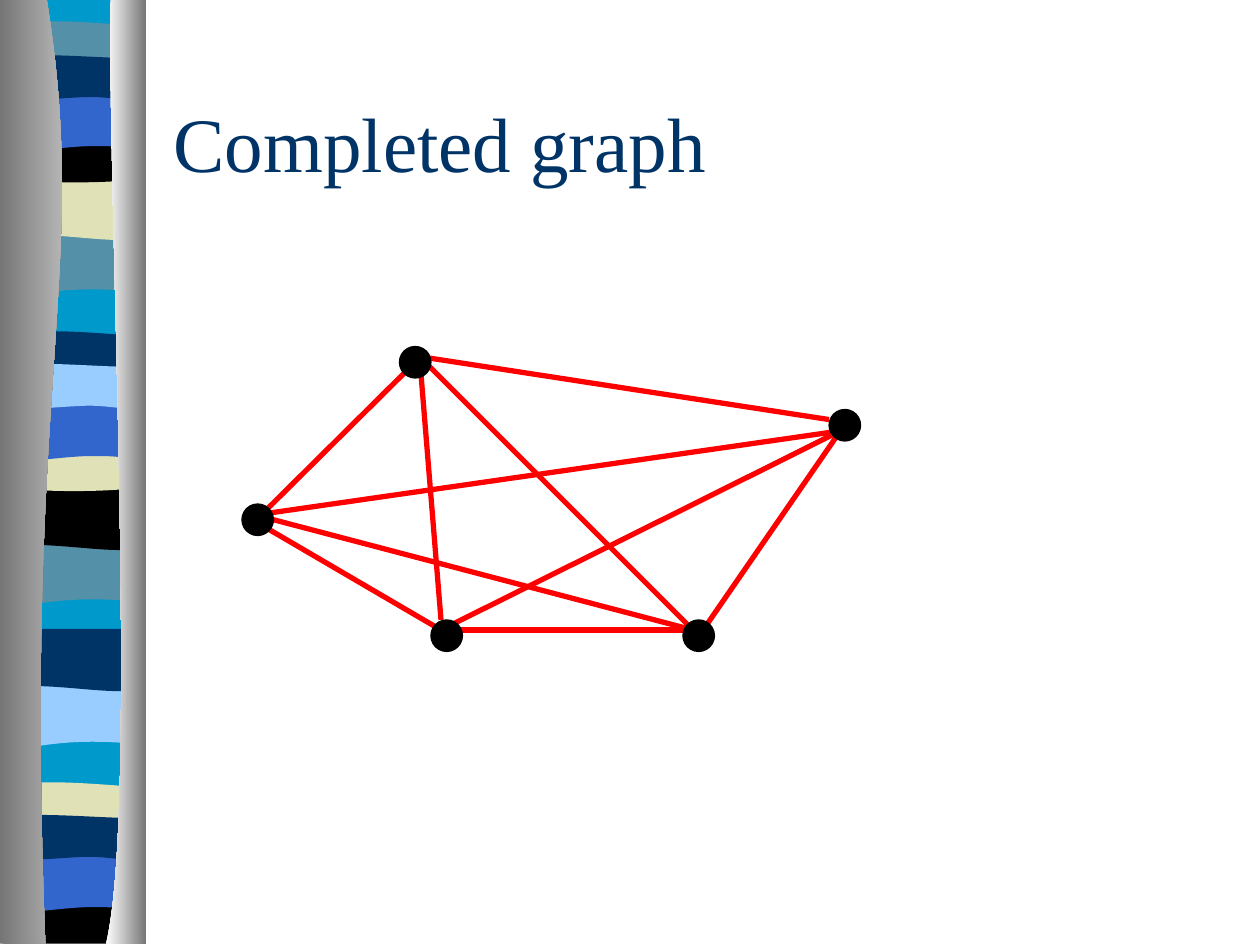
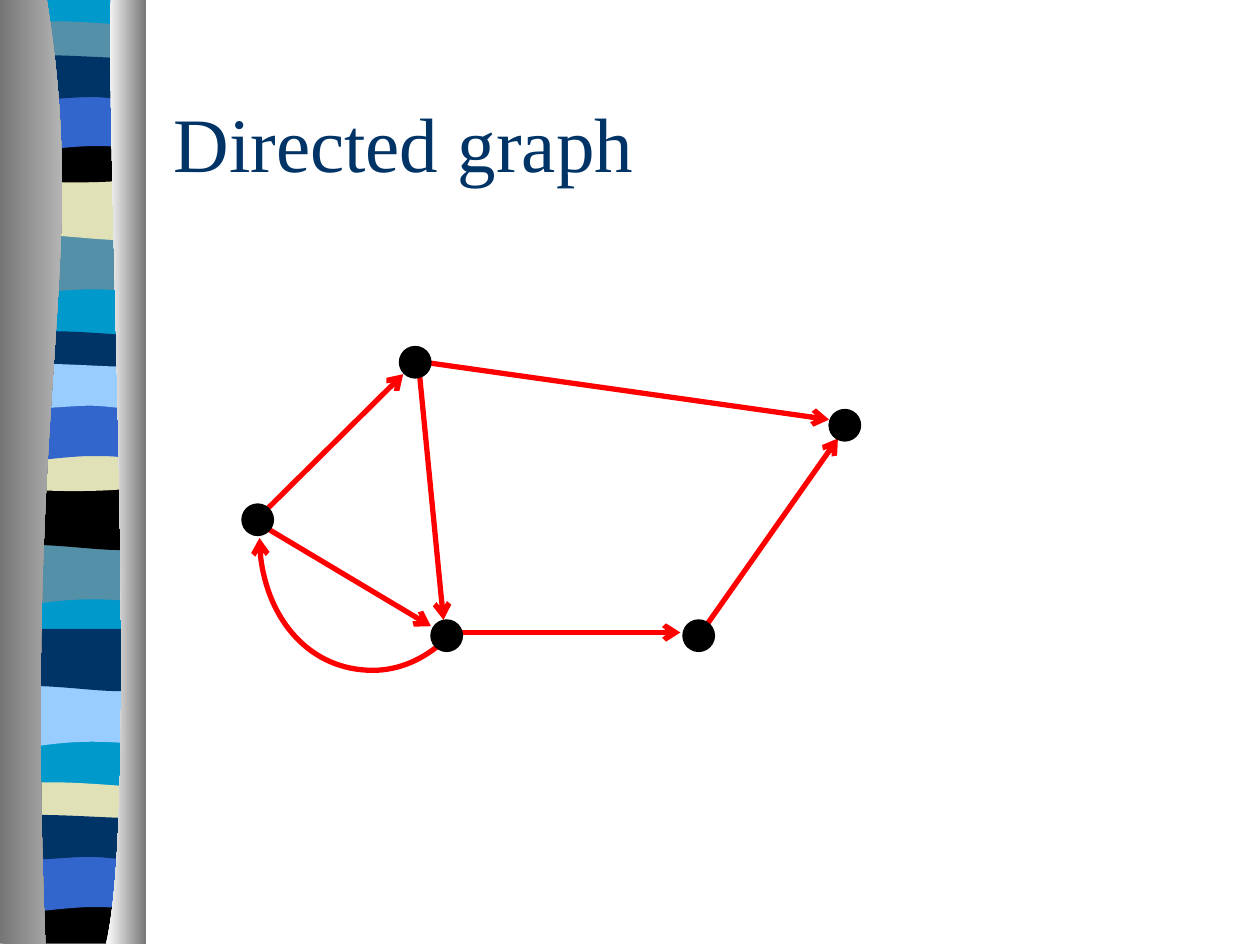
"""Builds two slides on graphs: a completed graph and a directed graph."""
from lxml import etree
from pptx import Presentation, util as u
from pptx.dml.color import RGBColor
from pptx.enum import shapes, text
from pptx.oxml.ns import qn

HUES = {
    "sky": "0099CC", "teal": "5490A8", "navy": "003366", "blue": "3366CC",
    "black": "000000", "sand": "E1E1B7", "pale": "99CCFF", "red": "FF0000",
    "gray": "767676", "mist": "D1D1D1", "white": "FFFFFF",
}
TITLE = {"name": "Times New Roman", "size": u.Pt(44)}
FRAME = {"word_wrap": True, "vertical_anchor": text.MSO_ANCHOR.MIDDLE}

DOT = 0.25
# Two numbers make a line to a point, six make a curve.
WAVES = {
    "dip": [(1.08, 0), (1.08, 0, 1.08, .47, 1.08, .47),
            (.34, .39, .18, .55, 0, .47), (0, 0), (1.08, 0)],
    "roll": [(1.08, 0), (1.08, .47), (.9, .55, .33, .41, 0, .47), (0, 0),
             (1.08, 0)],
    "slim": [(1.08, .05), (1.08, .29), (.9, .33, .18, .33, 0, .29), (0, .05),
             (.07, 0, .23, .01, .41, .01), (.59, .01, .94, .04, 1.08, .05)],
    "sag": [(1.08, 0), (1.08, .33), (.9, .38, .18, .38, 0, .33), (0, 0),
            (.67, .05, .86, 0, 1.08, 0)],
    "arch": [(1.08, 0), (1.08, 0, 1.08, .47, 1.08, .47),
             (.92, .42, .85, .42, .67, .42), (.49, .42, .17, .47, 0, .47),
             (0, 0), (1.08, 0)],
    "flat": [(1.08, .05), (1.08, .36), (1.01, .41, .84, .36, .66, .36),
             (.48, .36, .11, .41, 0, .36), (0, .05),
             (.15, 0, .73, .05, .91, .05), (1.09, .05, 1.04, .05, 1.08, .05)],
    "foot": [(1.08, 0), (1.08, .37), (.01, .37), (0, 0),
             (.67, .05, .86, 0, 1.08, 0)],
    "base": [(1.08, 0), (1.08, 7.48), (0, 7.48), (0, 0), (1.08, 0)],
}
BANDS = [
    ("base", -.01, "sky"),
    ("dip", 1.85, "teal"), ("roll", 1.41, "sand"), ("slim", .16, "teal"),
    ("sag", 1.08, "black"), ("arch", .74, "blue"), ("flat", .41, "navy"),
    ("dip", 4.31, "teal"), ("roll", 3.87, "black"), ("slim", 2.62, "navy"),
    ("sag", 3.53, "sand"), ("arch", 3.2, "blue"), ("flat", 2.86, "pale"),
    ("dip", 5.44, "pale"), ("roll", 4.99, "navy"), ("slim", 6.2, "sand"),
    ("foot", 7.12, "black"), ("arch", 6.78, "blue"), ("flat", 6.44, "navy"),
]
EDGES = [
    ([(.37, -.01), (.72, 2.16, .18, 2.96, .36, 7.49), (0, 7.49), (0, -.01),
      (.37, -.01)], ("gray", "mist")),
    ([(.88, -.01), (.84, 1.25, 1.11, 6.46, .84, 7.49), (1.16, 7.49), (1.16, 0),
      (.88, -.01)], ("white", "gray")),
]
NODES = [(1.92, 4), (6.58, 3.25), (5.42, 4.92), (3.42, 4.92), (3.17, 2.75)]
LOOP = [(2.06, 4.27), (2.06, 4.85, 2.46, 5.32, 2.96, 5.32),
        (3.17, 5.32, 3.37, 5.23, 3.53, 5.08)]
SLIDES = [
    {"title": "Completed graph", "tip": None, "loops": [], "links": [
        (2, 4.08, 5.5, 5), (3.5, 5, 6.67, 3.42), (3.33, 2.83, 5.5, 5),
        (2.08, 4.08, 6.67, 3.42), (5.58, 5, 6.67, 3.42),
        (3.33, 2.83, 6.58, 3.33), (3.33, 2.83, 3.5, 4.92),
        (3.58, 5, 5.5, 5), (2.08, 4.17, 3.5, 5), (2.08, 4.08, 3.25, 2.92)]},
    {"title": "Directed graph", "tip": "a:tailEnd", "loops": [LOOP], "links": [
        (5.58, 5, 6.65, 3.48), (3.33, 2.87, 6.58, 3.33),
        (3.32, 2.87, 3.52, 4.92), (3.58, 5.02, 5.4, 5.02),
        (2.08, 4.17, 3.42, 4.97), (2.08, 4.08, 3.2, 2.97)]},
]


def size(*vals):
    return [u.Cm(2.54 * val) for val in vals]


def hue(name):
    return RGBColor.from_string(HUES[name])


def style(item, vals):
    for key, val in vals.items():
        setattr(item, key, val)


def paint(fill, name):
    fill.solid()
    fill.fore_color.rgb = hue(name)


def bend(form, segs):
    lines = iter(list(form._element.iter(qn("a:lnTo"))))
    for seg in segs[1:]:
        first = next(lines)
        if len(seg) == 2:
            continue
        curve = etree.Element(qn("a:cubicBezTo"))
        first.addprevious(curve)
        for line in (first, next(lines), next(lines)):
            curve.append(line[0])
            line.getparent().remove(line)


def draw(slide, segs, left=0, top=0, close=True):
    pts = [size(seg[i] + left, seg[i + 1] + top)
           for seg in segs for i in range(0, len(seg), 2)]
    pen = slide.shapes.build_freeform(*pts[0], scale=1.0)
    pen.add_line_segments(pts[1:], close=close)
    form = pen.convert_to_shape()
    bend(form, segs)
    form.shadow.inherit = False
    form.line.fill.background()
    return form


def ink(item, tip):
    paint(item.line.fill, "red")
    item.line.width = u.Pt(3)
    if tip:
        etree.SubElement(item.line._get_or_add_ln(), qn(tip), type="arrow")


def side(slide):
    for wave, top, name in BANDS:
        left = .06 if top < 1.8 else .05
        paint(draw(slide, WAVES[wave], left, top).fill, name)
    for segs, names in EDGES:
        fill = draw(slide, segs).fill
        fill.gradient()
        fill.gradient_angle = 0
        for stop, name in zip(fill.gradient_stops, names):
            stop.color.rgb = hue(name)


def head(slide, words):
    frame = slide.shapes.add_textbox(*size(1.28, .5, 8.5, 1.25)).text_frame
    style(frame, FRAME)
    run = frame.paragraphs[0].add_run()
    run.text = words
    style(run.font, TITLE)
    run.font.color.rgb = hue("navy")


def graph(slide, data):
    for segs in data["loops"]:
        loop = draw(slide, segs, close=False)
        loop.fill.background()
        ink(loop, "a:headEnd")
    for ends in data["links"]:
        link = slide.shapes.add_connector(shapes.MSO_CONNECTOR.STRAIGHT, *size(*ends))
        ink(link, data["tip"])
        etree.SubElement(link._element.spPr, qn("a:effectLst"))
    for spot in NODES:
        node = slide.shapes.add_shape(shapes.MSO_SHAPE.OVAL, *size(*spot, DOT, DOT))
        node.shadow.inherit = False
        paint(node.fill, "black")
        paint(node.line.fill, "black")
        node.line.width = u.Pt(.75)


def main():
    deck = Presentation()
    style(deck, dict(zip(("slide_width", "slide_height"), size(10, 7.5))))
    for data in SLIDES:
        slide = deck.slides.add_slide(deck.slide_layouts[6])
        side(slide)
        head(slide, data["title"])
        graph(slide, data)
    deck.save("out.pptx")


if __name__ == "__main__":
    main()
